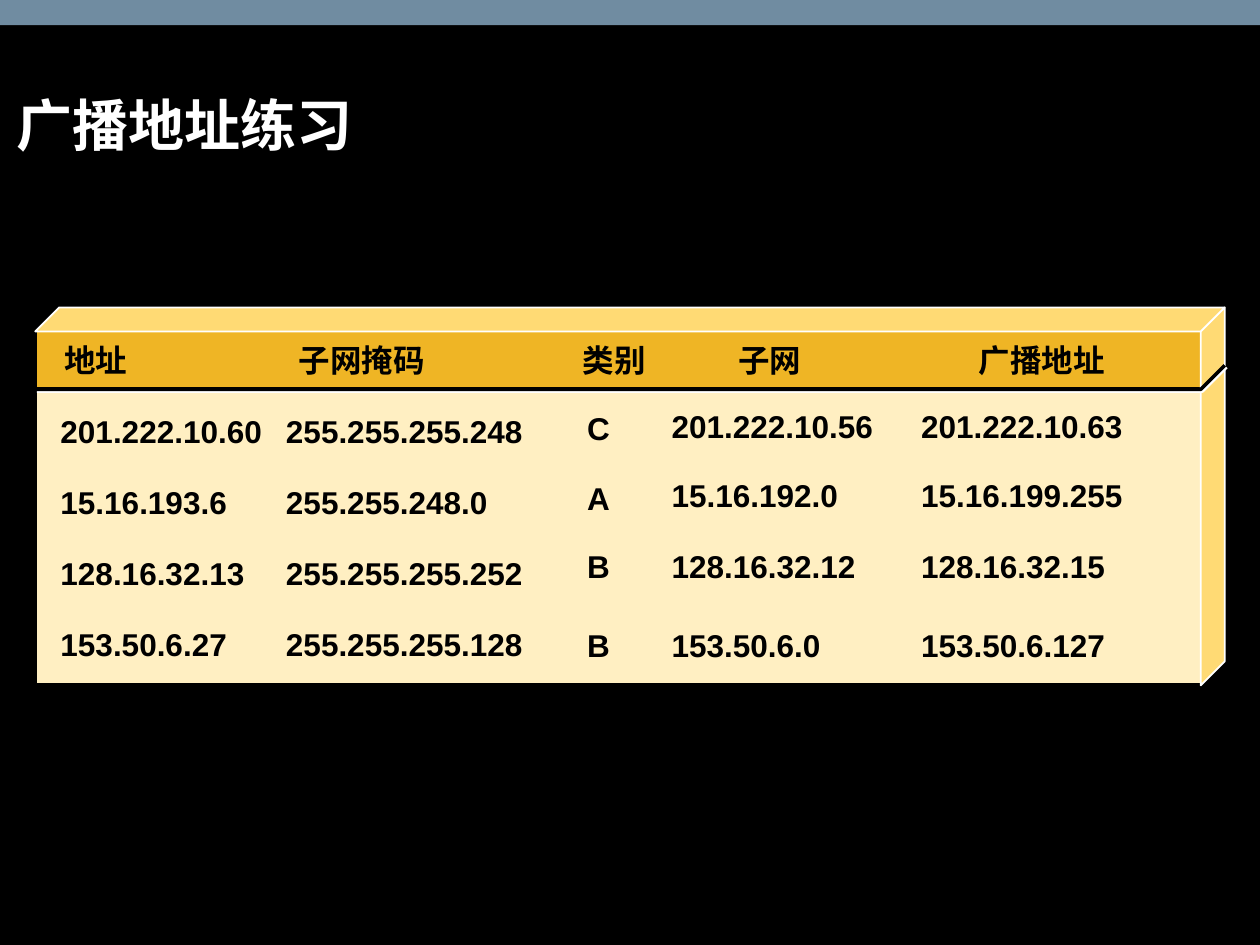
from lxml import etree
from pptx import Presentation
from pptx import util as u
from pptx.dml.color import RGBColor
from pptx.enum import shapes, text
from pptx.oxml.ns import qn

Inches, Pt = u.Inches, u.Pt
DEPTH = 0.19     # depth of the raised panel
HEADER = 0.45    # height of the header band
CELL_H = 0.4

# Column: heading, heading left, heading width, heading alignment (from panel left)
HEADINGS = [
    ("地址", 0.12, 1.05, text.PP_ALIGN.LEFT),
    ("子网掩码", 1.98, 1.4, text.PP_ALIGN.LEFT),
    ("类别", 4.08, 1.03, text.PP_ALIGN.CENTER),
    ("子网", 5.47, 1.81, text.PP_ALIGN.LEFT),
    ("广播地址", 7.38, 1.57, text.PP_ALIGN.LEFT),
]
QUESTIONS = [
    ("201.222.10.60", "255.255.255.248"),
    ("15.16.193.6", "255.255.248.0"),
    ("128.16.32.13", "255.255.255.252"),
    ("153.50.6.27", "255.255.255.128"),
]
# Answer: top of the addresses, top of the class (from panel top), then values
ANSWERS = [
    (0.75, 0.76, "C", "201.222.10.56", "201.222.10.63"),
    (1.30, 1.31, "A", "15.16.192.0", "15.16.199.255"),
    (1.86, 1.85, "B", "128.16.32.12", "128.16.32.15"),
    (2.49, 2.48, "B", "153.50.6.0", "153.50.6.127"),
]


def color(value):
    return RGBColor.from_string(value)


def paint(sp, fill=None, line=None, width=1):
    sp.shadow.inherit = False
    if fill:
        sp.fill.solid()
        sp.fill.fore_color.rgb = color(fill)
    else:
        sp.fill.background()
    if line:
        sp.line.color.rgb = color(line)
        sp.line.width = Pt(width)
    else:
        sp.line.fill.background()


def add_rect(parent, x, y, w, h, fill, line=None):
    sp = parent.add_shape(shapes.MSO_SHAPE.RECTANGLE,
                          Inches(x), Inches(y), Inches(w), Inches(h))
    paint(sp, fill, line)


def add_outline(parent, points, fill=None, line="FFFFFF", width=1):
    pts = [(Inches(x), Inches(y)) for x, y in points]
    builder = parent.build_freeform(*pts[0], scale=1.0)
    builder.add_line_segments(pts[1:], close=fill is not None)
    sp = builder.convert_to_shape()
    paint(sp, fill, line, width)
    return sp


def add_hard_shadow(sp, value, distance):
    effects = sp._element.spPr.find(qn("a:effectLst"))
    shadow = etree.SubElement(effects, qn("a:outerShdw"), blurRad="0",
                              dist=str(Pt(distance)), dir="2700000",
                              algn="ctr", rotWithShape="0")
    etree.SubElement(shadow, qn("a:srgbClr"), val=value)


def add_label(parent, words, x, y, w, align=text.PP_ALIGN.LEFT,
              margins=(0.11, 0.06), spacing=0.95, wrap=True):
    sp = parent.add_textbox(Inches(x), Inches(y), Inches(w), Inches(CELL_H))
    tf = sp.text_frame
    tf.word_wrap = wrap
    tf.auto_size = text.MSO_AUTO_SIZE.SHAPE_TO_FIT_TEXT
    tf.margin_left = tf.margin_right = Inches(margins[0])
    tf.margin_top = tf.margin_bottom = Inches(margins[1])
    p = tf.paragraphs[0]
    p.text = words
    p.alignment = align
    p.line_spacing = spacing
    style(p, 18, "000000")


def style(p, size, value):
    p.font.name = "Arial"
    p.font.size = Pt(size)
    p.font.bold = True
    p.font.color.rgb = color(value)


def place_title(s, words, x, y, w, h):
    sp = s.shapes.title
    sp.left, sp.top, sp.width, sp.height = (Inches(v) for v in (x, y, w, h))
    tf = sp.text_frame
    tf.word_wrap = True
    tf.vertical_anchor = text.MSO_ANCHOR.BOTTOM
    tf.margin_left = tf.margin_right = Inches(0.09)
    tf.margin_top = tf.margin_bottom = Inches(0.04)
    p = tf.paragraphs[0]
    p.text = words
    p.alignment = text.PP_ALIGN.LEFT
    p.line_spacing = 0.9
    style(p, 32, "FFFFFF")


def draw_panel(s, x, y, w, h):
    front, back, right = x + w - DEPTH, x + DEPTH, x + w
    face, bottom = y + DEPTH, y + h
    # Front face and header band
    add_rect(s.shapes, x + 0.01, face, front - x, bottom - face - 0.01,
             "FFEFC2", "000000")
    add_rect(s.shapes, x + 0.01, face, front - x, HEADER, "EFB525", "000000")
    # Right side and top
    add_outline(s.shapes, [(right, y), (front, face), (front, bottom),
                           (right, bottom - DEPTH)], "FFDA74")
    add_outline(s.shapes, [(x, face), (back, y), (right, y), (front, face)],
                "FFDA74")
    # Rule under the header, carried round the side
    rule = face + HEADER + 0.01
    sp = add_outline(s.shapes, [(x, rule), (front, rule),
                                (right, rule - DEPTH)], line="000000", width=2)
    add_hard_shadow(sp, "FFFFFF", 1.4)


def fill_panel(s, x, y):
    for words, dx, w, align in HEADINGS:
        add_label(s.shapes, words, x + dx, y + 0.23, w, align)
    # Addresses and masks in evenly spaced rows
    for i, (address, mask) in enumerate(QUESTIONS):
        top = y + 0.79 + i * 1.69 / 3
        add_label(s.shapes, address, x + 0.09, top, 2.32)
        add_label(s.shapes, mask, x + 1.88, top, 2.19)
    # Each answer row is one group
    for top, class_top, letter, subnet, broadcast in ANSWERS:
        row = s.shapes.add_group_shape().shapes
        add_label(row, letter, x + 4.28, y + class_top, 0.38,
                  text.PP_ALIGN.CENTER, (0.1, 0.05), 1.0, False)
        add_label(row, subnet, x + 4.94, y + top, 1.98)
        add_label(row, broadcast, x + 6.92, y + top, 1.98)


def main():
    prs = Presentation()
    prs.slide_width, prs.slide_height = Inches(10), Inches(7.5)
    s = prs.slides.add_slide(prs.slide_layouts[5])
    s.background.fill.solid()
    s.background.fill.fore_color.rgb = color("000000")

    # Top band
    add_rect(s.shapes, 0, 0, 10, 0.2, "708CA1")
    place_title(s, "广播地址练习", 0.04, 0.05, 8.7, 1.25)
    draw_panel(s, 0.28, 2.44, 9.44, 3)
    fill_panel(s, 0.28, 2.44)
    prs.save("out.pptx")


if __name__ == "__main__":
    main()
